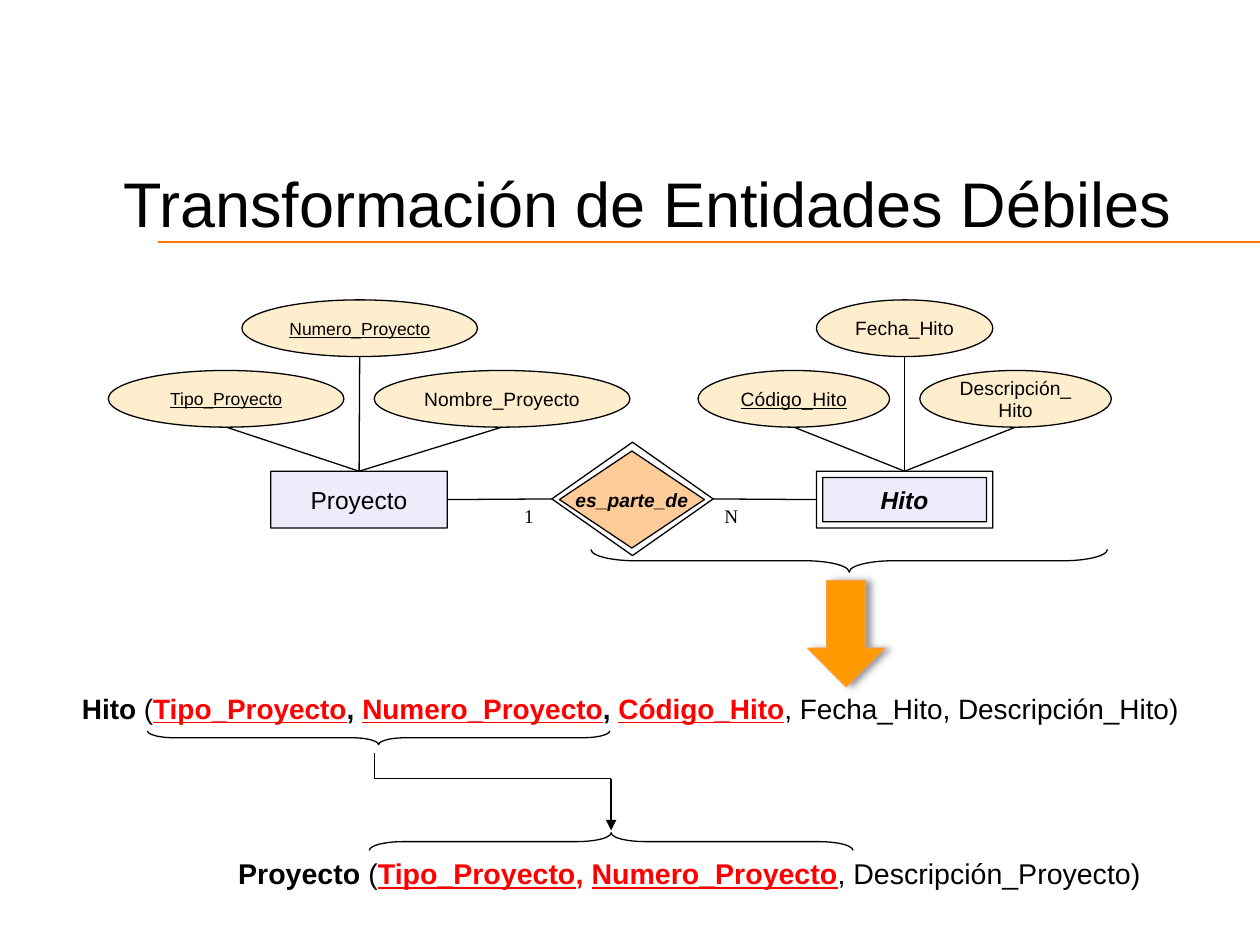
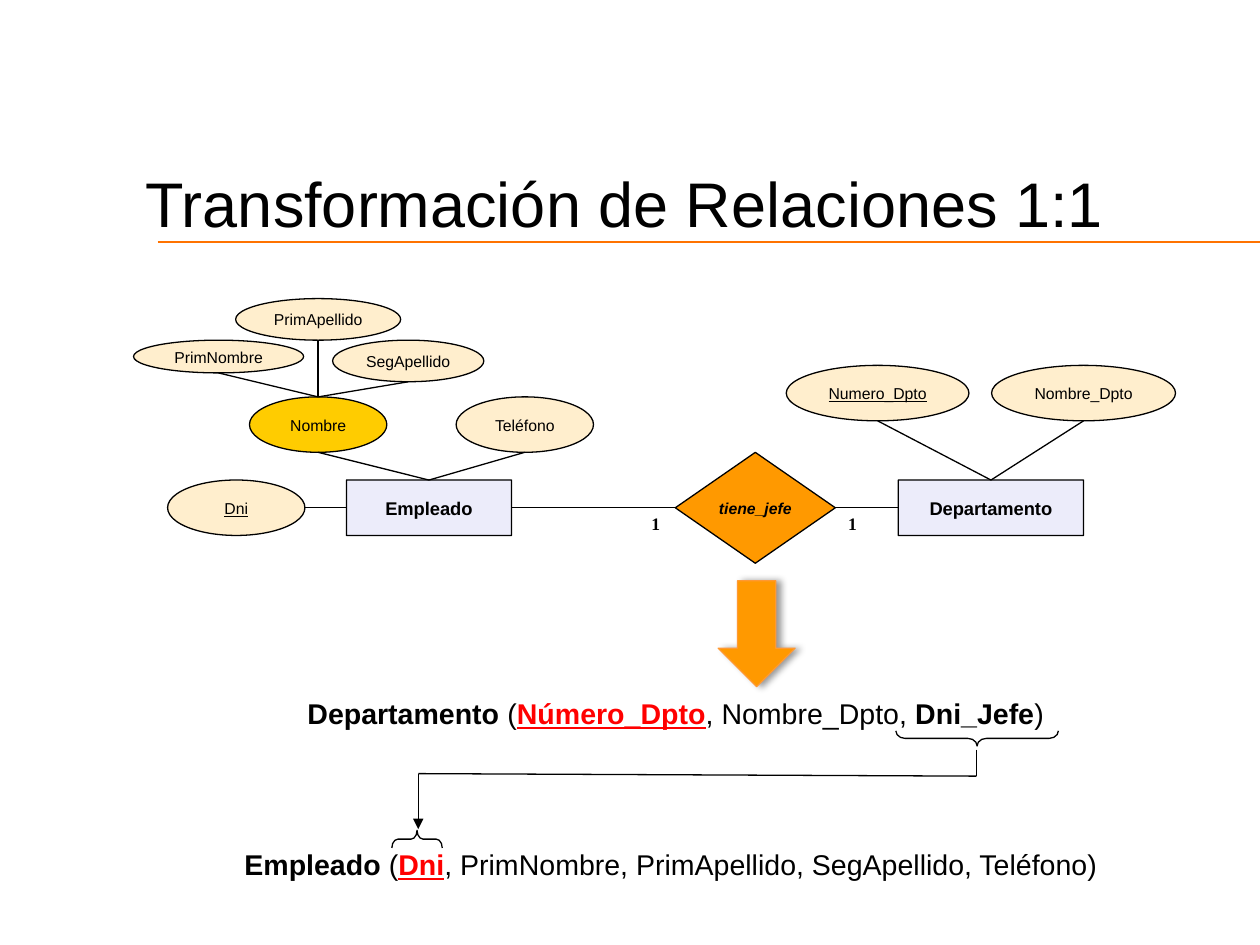
from itertools import pairwise

from lxml.etree import SubElement
from pptx import Presentation
from pptx.dml.color import RGBColor
from pptx.enum.shapes import MSO_CONNECTOR, MSO_SHAPE
from pptx.enum.text import MSO_ANCHOR, PP_ALIGN
from pptx.oxml.ns import qn
from pptx.util import Inches, Pt

# Shared look
BLACK, WHITE, RED = "000000", "FFFFFF", "FF0000"
RULE, ENTITY, ATTRIBUTE, COMPOSITE = "FF7300", "ECECFA", "FFEECD", "FFCC00"
PEACH, ORANGE, ARROW_EDGE = "FFCC99", "FF9900", "FF9933"
SANS, SERIF = "Arial", "Times New Roman"
INSETS = (0.09, 0.06, 0.09, 0.04)
TITLE_INSETS = (0.1, 0.01, 0.1, 0.05)
TOP, LEFT, BOTTOM, RIGHT = range(4)
OUTLINES = {
    "entity": MSO_SHAPE.ROUNDED_RECTANGLE,
    "attribute": MSO_SHAPE.OVAL,
    "relation": MSO_SHAPE.DIAMOND,
}

# Font of each kind of span in a relational schema
SPAN_STYLES = {
    "plain": {},
    "bold": {"bold": True},
    "red": {"bold": True, "color": RED},
    "key": {"bold": True, "color": RED, "underline": True},
}
BOLD, KEY = {"bold": True}, {"underline": True}
BOLD_ITALIC = {"bold": True, "italic": True}

# Nodes: name, kind, box (left, top, width, height), fill, label, size, font
# Links: from node and side, to node and side
# Braces: box as seen, curvature, side the tip points to
SLIDES = [
    {
        "title": ("Transformación de Entidades Débiles", (0.88, 1.3, 9.45, 0.57)),
        "nodes": [
            ("proyecto", "entity", (2.15, 3.74, 1.4, 0.45), ENTITY, "Proyecto", 14, {}),
            ("tipo", "attribute", (0.86, 2.94, 1.87, 0.45), ATTRIBUTE, "Tipo_Proyecto", 10, KEY),
            ("nombre", "attribute", (2.97, 2.94, 2.03, 0.45), ATTRIBUTE, "Nombre_Proyecto", 11, {}),
            ("numero", "attribute", (1.92, 2.38, 1.87, 0.45), ATTRIBUTE, "Numero_Proyecto", 10, KEY),
            ("codigo", "attribute", (5.54, 2.94, 1.52, 0.45), ATTRIBUTE, "Código_Hito", 11, KEY),
            ("descripcion", "attribute", (7.3, 2.94, 1.52, 0.45), ATTRIBUTE, "Descripción_Hito", 11, {}),
            ("fecha", "attribute", (6.48, 2.38, 1.4, 0.45), ATTRIBUTE, "Fecha_Hito", 11, {}),
            ("hito", "entity", (6.48, 3.74, 1.4, 0.45), WHITE, "", 14, {}),
            ("hito inner", "entity", (6.53, 3.79, 1.3, 0.35), ENTITY, "Hito", 14, BOLD_ITALIC),
            ("parte", "relation", (4.38, 3.51, 1.28, 0.9), WHITE, "", 11, {}),
            ("parte inner", "relation", (4.44, 3.58, 1.15, 0.77), PEACH, "es_parte_de", 11, BOLD_ITALIC),
        ],
        "links": [
            ("tipo", BOTTOM, "proyecto", TOP),
            ("nombre", BOTTOM, "proyecto", TOP),
            ("numero", BOTTOM, "proyecto", TOP),
            ("codigo", BOTTOM, "hito", TOP),
            ("descripcion", BOTTOM, "hito", TOP),
            ("fecha", BOTTOM, "hito", TOP),
            ("proyecto", RIGHT, "parte", LEFT),
            ("parte", RIGHT, "hito", LEFT),
        ],
        "cardinalities": [
            ("1", (4.07, 3.96, 0.27, 0.27), 11, {}),
            ("N", (5.66, 3.96, 0.3, 0.27), 11, {}),
        ],
        "schemas": [
            ((0.56, 5.45, 9.42, 0.35), 16, [
                ("Hito", "bold"), (" (", "plain"), ("Tipo_Proyecto", "key"),
                (", ", "bold"), ("Numero_Proyecto", "key"), (", ", "bold"),
                ("Código_Hito", "key"), (", Fecha_Hito, Descripción_Hito)", "plain"),
            ]),
            ((1.8, 6.76, 7.39, 0.34), 16.3, [
                ("Proyecto", "bold"), (" (", "plain"), ("Tipo_Proyecto", "key"),
                (", ", "red"), ("Numero_Proyecto", "key"),
                (", Descripción_Proyecto)", "plain"),
            ]),
        ],
        "braces": [
            ((4.69, 4.36, 4.1, 0.18), 1.94, BOTTOM),
            ((1.17, 5.8, 3.67, 0.11), 1.94, BOTTOM),
            ((2.93, 6.61, 3.84, 0.14), 1.94, TOP),
        ],
        "key path": [(2.97, 5.98), (2.97, 6.18), (4.85, 6.18), (4.85, 6.59)],
        "arrow left": 6.41,
    },
    {
        "title": ("Transformación de Relaciones 1:1", (1.06, 1.3, 8.84, 0.57)),
        "nodes": [
            ("jefe", "relation", (5.36, 3.59, 1.27, 0.88), ORANGE, "tiene_jefe", 9, BOLD_ITALIC),
            ("empleado", "entity", (2.75, 3.81, 1.31, 0.44), ENTITY, "Empleado", 10.5, BOLD),
            ("dni", "attribute", (1.33, 3.81, 1.09, 0.44), ATTRIBUTE, "Dni", 9, KEY),
            ("telefono", "attribute", (3.62, 3.15, 1.09, 0.44), ATTRIBUTE, "Teléfono", 9, {}),
            ("nombre", "attribute", (1.98, 3.15, 1.09, 0.44), COMPOSITE, "Nombre", 9, {}),
            ("prim nombre", "attribute", (1.06, 2.7, 1.35, 0.26), ATTRIBUTE, "PrimNombre", 9, {}),
            ("prim apellido", "attribute", (1.87, 2.37, 1.31, 0.33), ATTRIBUTE, "PrimApellido", 9, {}),
            ("seg apellido", "attribute", (2.64, 2.7, 1.2, 0.33), ATTRIBUTE, "SegApellido", 9, {}),
            ("departamento", "entity", (7.13, 3.81, 1.47, 0.44), ENTITY, "Departamento", 10.5, BOLD),
            ("numero", "attribute", (6.24, 2.9, 1.45, 0.44), ATTRIBUTE, "Numero_Dpto", 9, KEY),
            ("nombre dpto", "attribute", (7.87, 2.9, 1.46, 0.44), ATTRIBUTE, "Nombre_Dpto", 9, {}),
        ],
        "links": [
            ("empleado", RIGHT, "jefe", LEFT),
            ("jefe", RIGHT, "departamento", LEFT),
            ("dni", RIGHT, "empleado", LEFT),
            ("nombre", BOTTOM, "empleado", TOP),
            ("telefono", BOTTOM, "empleado", TOP),
            ("prim nombre", BOTTOM, "nombre", TOP),
            ("prim apellido", BOTTOM, "nombre", TOP),
            ("seg apellido", BOTTOM, "nombre", TOP),
            ("numero", BOTTOM, "departamento", TOP),
            ("nombre dpto", BOTTOM, "departamento", TOP),
        ],
        "cardinalities": [
            ("1", (5.08, 4.03, 0.28, 0.27), 10, BOLD),
            ("1", (6.64, 4.03, 0.25, 0.27), 10, BOLD),
        ],
        "schemas": [
            ((2.35, 5.49, 6.23, 0.35), 16.3, [
                ("Departamento", "bold"), (" (", "plain"), ("Número_Dpto", "key"),
                (", Nombre_Dpto, ", "plain"), ("Dni_Jefe", "bold"), (")", "plain"),
            ]),
            ((1.85, 6.69, 7.23, 0.24), 16.3, [
                ("Empleado", "bold"), (" (", "plain"), ("Dni", "key"),
                (", PrimNombre, PrimApellido, SegApellido, Teléfono)", "plain"),
            ]),
        ],
        "braces": [
            ((7.11, 5.8, 1.29, 0.12), 0.61, BOTTOM),
            ((3.11, 6.59, 0.4, 0.14), 0.34, TOP),
        ],
        "key path": [(7.75, 5.95), (7.75, 6.16), (3.32, 6.14), (3.32, 6.58)],
        "arrow left": 5.7,
    },
]


def rgb(color):
    return RGBColor.from_string(color)


def inches(values):
    return [Inches(value) for value in values]


def style_font(font, size, name=SANS, color=BLACK, bold=False, italic=False, underline=False):
    font.size, font.name = Pt(size), name
    font.bold, font.italic, font.underline = bold, italic, underline
    font.color.rgb = rgb(color)


def set_frame(frame, insets=INSETS, wrap=False):
    frame.word_wrap = wrap
    (frame.margin_left, frame.margin_top,
     frame.margin_right, frame.margin_bottom) = inches(insets)


def add_text(page, place, spans, insets=INSETS, wrap=False, spacing=0.93):
    """Each span is its text and its font settings."""
    box = page.shapes.add_textbox(*inches(place))
    set_frame(box.text_frame, insets, wrap)
    para = box.text_frame.paragraphs[0]
    para.line_spacing = spacing
    for text, settings in spans:
        span = para.add_run()
        span.text = text
        style_font(span.font, **settings)


def add_shape(page, outline, place, fill=None, line=BLACK):
    shape = page.shapes.add_shape(outline, *inches(place))
    shape.shadow.inherit = False
    if fill:
        shape.fill.solid()
        shape.fill.fore_color.rgb = rgb(fill)
    else:
        shape.fill.background()
    shape.line.color.rgb = rgb(line)
    shape.line.width = Pt(0.75)
    return shape


def add_node(page, kind, place, fill, label, size, settings):
    node = add_shape(page, OUTLINES[kind], place, fill)
    if kind == "entity":
        node.adjustments[0] = 0.003
    if label:
        frame = node.text_frame
        set_frame(frame, wrap=kind != "relation")
        frame.vertical_anchor = MSO_ANCHOR.MIDDLE
        frame.text = label
        para = frame.paragraphs[0]
        para.alignment = PP_ALIGN.CENTER
        para.line_spacing = 0.93
        style_font(para.runs[0].font, size, **settings)
    return node


def add_line(page, start, end, color=BLACK, arrow=False):
    line = page.shapes.add_connector(MSO_CONNECTOR.STRAIGHT, *start, *end)
    line.line.color.rgb = rgb(color)
    line.line.width = Pt(0.75)
    if arrow:
        SubElement(line.line._get_or_add_ln(), qn("a:tailEnd"), type="triangle")
    SubElement(line._element.spPr, qn("a:effectLst"))
    return line


def side_middle(node, side):
    across = {LEFT: 0, RIGHT: node.width}.get(side, node.width // 2)
    down = {TOP: 0, BOTTOM: node.height}.get(side, node.height // 2)
    return node.left + across, node.top + down


def add_link(page, first, first_side, second, second_side):
    link = add_line(page, side_middle(first, first_side), side_middle(second, second_side))
    # Ovals number their connection sites differently below the top one
    if first.auto_shape_type != MSO_SHAPE.OVAL:
        link.begin_connect(first, first_side)
    link.end_connect(second, second_side)


def add_brace(page, place, curvature, tip):
    left, top, width, height = place
    upright = (left + (width - height) / 2, top + (height - width) / 2, height, width)
    brace = add_shape(page, MSO_SHAPE.LEFT_BRACE, upright)
    brace.rotation = 90 if tip == TOP else 270
    brace.adjustments[0] = curvature


def add_block_arrow(page, left):
    arrow = add_shape(page, MSO_SHAPE.DOWN_ARROW, (left, 4.61, 0.61, 0.84), ORANGE, ARROW_EDGE)
    effects = arrow._element.spPr.find(qn("a:effectLst"))
    shadow = SubElement(effects, qn("a:outerShdw"), blurRad=str(Pt(4)), dist=str(Pt(3)), dir="0")
    tint = SubElement(shadow, qn("a:srgbClr"), val=BLACK)
    SubElement(tint, qn("a:alpha"), val="40000")


def build_slide(deck, content):
    page = deck.slides.add_slide(deck.slide_layouts[6])

    # Title and rule
    add_line(page, inches((1.25, 1.92)), inches((10, 1.92)), RULE)
    title, place = content["title"]
    add_text(page, place, [(title, {"size": 36})], TITLE_INSETS, wrap=True, spacing=1.0)

    # Entity-relationship diagram
    nodes = {name: add_node(page, *details) for name, *details in content["nodes"]}
    for first, first_side, second, second_side in content["links"]:
        add_link(page, nodes[first], first_side, nodes[second], second_side)
    for text, place, size, settings in content["cardinalities"]:
        add_text(page, place, [(text, {"size": size, "name": SERIF, **settings})])

    # Resulting relational schemas
    add_block_arrow(page, content["arrow left"])
    for place, size, spans in content["schemas"]:
        add_text(page, place, [(text, {"size": size, **SPAN_STYLES[style]}) for text, style in spans])

    # Braces and the foreign key path
    for brace in content["braces"]:
        add_brace(page, *brace)
    path = content["key path"]
    for start, end in pairwise(path):
        add_line(page, inches(start), inches(end), arrow=end == path[-1])


def main():
    deck = Presentation()
    deck.slide_width, deck.slide_height = Inches(10), Inches(7.5)
    for content in SLIDES:
        build_slide(deck, content)
    deck.save("out.pptx")


if __name__ == "__main__":
    main()
